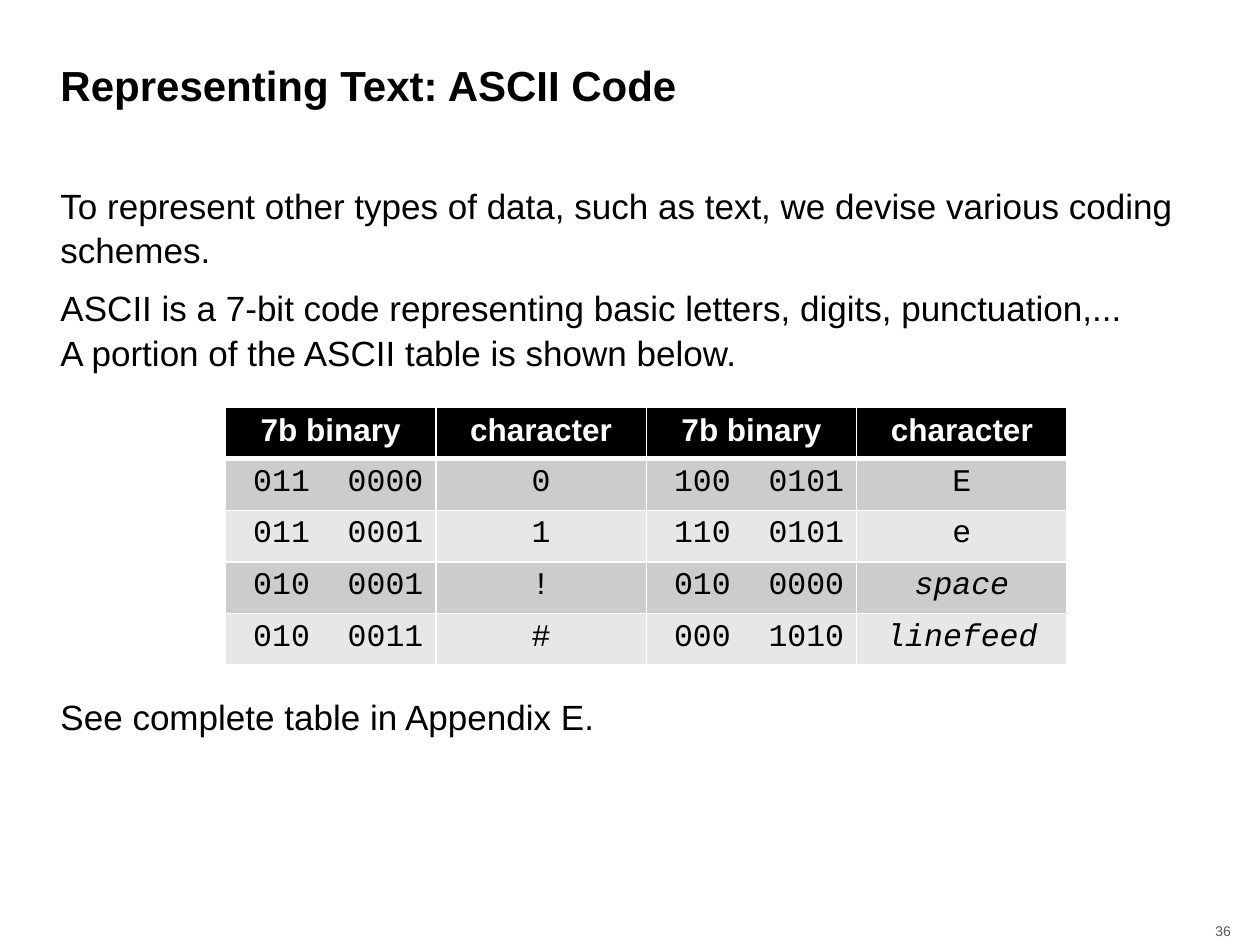
from pptx import Presentation
from pptx import util as u
from pptx.dml.color import RGBColor
from pptx.enum import text
from pptx.oxml import parse_xml
from pptx.oxml.ns import nsdecls, qn

COLORS = {"black": "000000", "white": "FFFFFF", "dark_band": "CCCCCC",
          "light_band": "E7E7E7", "number": "595959"}
ALIGN = text.PP_ALIGN
ANCHOR = text.MSO_ANCHOR

HEADER = ["7b binary", "character"] * 2
ROWS = [
    ["011  0000", "0", "100  0101", "E"],
    ["011  0001", "1", "110  0101", "e"],
    ["010  0001", "!", "010  0000", "space"],
    ["010  0011", "#", "000  1010", "linefeed"],
]
CONTROL_NAMES = ("space", "linefeed")


class SlideBuilder:
    def __init__(self, prs, layout):
        self.s = prs.slides.add_slide(prs.slide_layouts[layout])
        self.font = {"name": "Arial", "bold": False, "italic": False}

    def place(self, sp, left, top, width, height):
        box = {"left": left, "top": top, "width": width, "height": height}
        for name, value in box.items():
            setattr(sp, name, u.Inches(value))

    def fill_paragraph(self, p, words, size, color="black", para=None, **font):
        """Set text and format; a vertical tab in words is a line break."""
        p.text = words
        for name, value in (para or {}).items():
            setattr(p, name, value)
        for r in p.runs:
            for name, value in {**self.font, "size": u.Pt(size), **font}.items():
                setattr(r.font, name, value)
            r.font.color.rgb = RGBColor.from_string(COLORS[color])
        for br in p._p.findall(qn("a:br")):
            br.append(parse_xml(f'<a:rPr {nsdecls("a")} sz="{size * 100}"/>'))

    def frame(self, sp, anchor):
        tf = sp.text_frame
        settings = {"word_wrap": True, "auto_size": text.MSO_AUTO_SIZE.NONE,
                    "vertical_anchor": anchor}
        for name, value in settings.items():
            setattr(tf, name, value)
        return tf

    def title(self, words, *box):
        sp = self.s.shapes.title
        self.place(sp, *box)
        tf = self.frame(sp, ANCHOR.MIDDLE)
        self.fill_paragraph(tf.paragraphs[0], words, 24, bold=True,
                            para={"alignment": ALIGN.LEFT, "line_spacing": 0.9})

    def body(self, idx, paragraphs, *box):
        sp = self.s.placeholders[idx]
        self.place(sp, *box)
        tf = self.frame(sp, ANCHOR.TOP)
        para = {"space_before": u.Pt(0), "space_after": u.Pt(8),
                "line_spacing": 1.05}
        for i, words in enumerate(paragraphs):
            p = tf.add_paragraph() if i else tf.paragraphs[0]
            self.fill_paragraph(p, words, 20, para=para)
            pPr = p._p.get_or_add_pPr()
            pPr.set("marL", "0")
            pPr.set("indent", "0")
            pPr.append(parse_xml(f'<a:buNone {nsdecls("a")}/>'))

    def borders(self, cell, bottom):
        tcPr = cell._tc.get_or_add_tcPr()
        for side, width in {"L": 1, "R": 1, "T": 1, "B": bottom}.items():
            tcPr.append(parse_xml(
                f'<a:ln{side} {nsdecls("a")} w="{u.Pt(width)}"><a:solidFill>'
                f'<a:srgbClr val="{COLORS["white"]}"/></a:solidFill></a:ln{side}>'))

    def cell(self, cell, words, fill, align, bottom=1, **style):
        self.borders(cell, bottom)
        cell.fill.solid()
        cell.fill.fore_color.rgb = RGBColor.from_string(COLORS[fill])
        self.fill_paragraph(cell.text_frame.paragraphs[0], words, 18,
                            para={"alignment": align}, **style)

    def code_table(self, header, rows, left, top, col_width, row_height):
        n_rows, n_cols = len(rows) + 1, len(header)
        table = self.s.shapes.add_table(
            n_rows, n_cols, u.Inches(left), u.Inches(top),
            u.Inches(col_width * n_cols), u.Inches(row_height * n_rows)).table
        for col in table.columns:
            col.width = u.Inches(col_width)
        for row in table.rows:
            row.height = u.Inches(row_height)
        for c, words in enumerate(header):
            self.cell(table.cell(0, c), words, "black", ALIGN.CENTER,
                      bottom=3, color="white", bold=True)
        for r, row in enumerate(rows, 1):
            fill = "dark_band" if r % 2 else "light_band"
            for c, words in enumerate(row):
                align = ALIGN.CENTER if c % 2 else ALIGN.RIGHT
                self.cell(table.cell(r, c), words, fill, align,
                          name="Courier New", italic=words in CONTROL_NAMES)

    def page_number(self, number, *box):
        sp = self.s.shapes.add_textbox(*map(u.Inches, box))
        tf = self.frame(sp, ANCHOR.MIDDLE)
        for side in ("left", "top", "right", "bottom"):
            setattr(tf, f"margin_{side}", u.Inches(0.05))
        self.fill_paragraph(tf.paragraphs[0], number, 8, "number",
                            para={"alignment": ALIGN.RIGHT})


def main():
    prs = Presentation()
    prs.slide_width, prs.slide_height = u.Inches(10), u.Inches(7.5)
    slide = SlideBuilder(prs, layout=3)
    slide.title("Representing Text: ASCII Code", 0.38, 0.33, 9.25, 0.74)
    slide.body(1, [
        "To represent other types of data, such as text, "
        "we devise various coding schemes.",
        "ASCII is a 7-bit code representing basic letters, digits, "
        "punctuation,...\vA portion of the ASCII table is shown below.",
    ], 0.38, 1.4, 9.25, 1.64)
    slide.code_table(HEADER, ROWS, 1.79, 3.23, 1.67, 0.41)
    slide.body(2, ["See complete table in Appendix E."], 0.38, 5.45, 9.25, 0.52)
    slide.page_number("36", 9.43, 7.3, 0.39, 0.18)
    prs.save("out.pptx")


if __name__ == "__main__":
    main()
